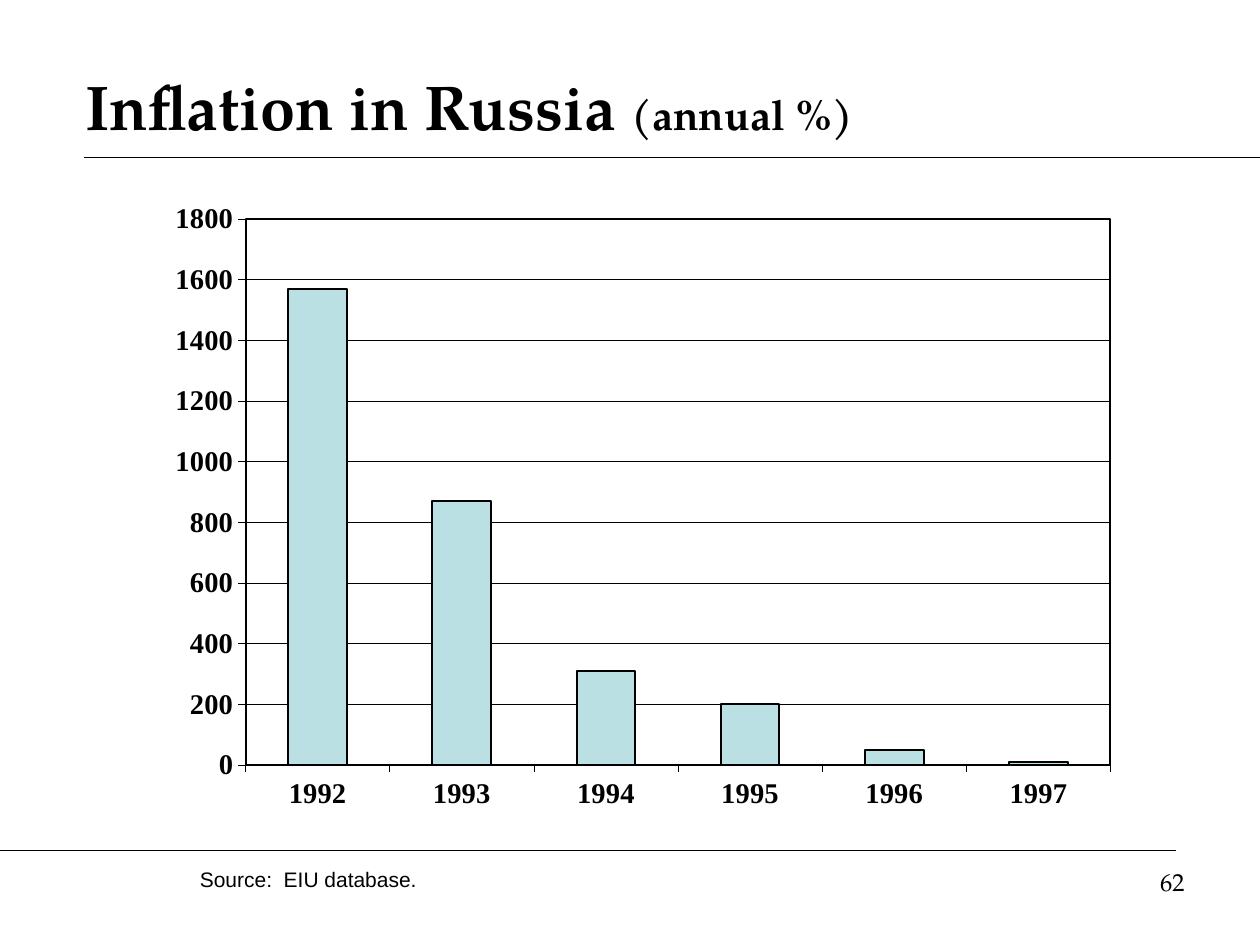
from dataclasses import dataclass

from lxml import etree
from pptx import Presentation
from pptx.chart.data import CategoryChartData
from pptx.dml.color import RGBColor
from pptx.enum.chart import XL_CHART_TYPE, XL_TICK_MARK
from pptx.enum.shapes import MSO_CONNECTOR
from pptx.enum.text import MSO_ANCHOR, PP_ALIGN
from pptx.oxml import parse_xml
from pptx.oxml.ns import nsdecls, qn
from pptx.util import Cm, Pt

COLUMN = XL_CHART_TYPE.COLUMN_CLUSTERED
OUTSIDE, NO_TICK = XL_TICK_MARK.OUTSIDE, XL_TICK_MARK.NONE
STRAIGHT = MSO_CONNECTOR.STRAIGHT
TOP, MIDDLE = MSO_ANCHOR.TOP, MSO_ANCHOR.MIDDLE
LEFT, RIGHT = PP_ALIGN.LEFT, PP_ALIGN.RIGHT


@dataclass(frozen=True)
class Theme:
    """Fonts, colours and type sizes of the slide."""
    serif: str = "TeX Gyre Pagella"
    sans: str = "Arial"
    chart: str = "Times New Roman"
    ink: RGBColor = RGBColor(0, 0, 0)
    bar: RGBColor = RGBColor(0xBB, 0xE0, 0xE3)
    title: float = 36
    unit: float = 24
    label: float = 16.3
    page: float = 14
    source: float = 12
    rule: float = 0.75
    grid: float = 0.29
    edge: float = 1.17


THEME = Theme()
SIZE = (25.4, 19.05)
HEAD, FOOT = 3.18, 17.15
RULES = [(1.7, SIZE[0], HEAD), (0, 23.7, FOOT),
         (3.18, SIZE[0], HEAD), (0, 17.98, FOOT)]
TEXTS = [
    ((18.21, 17.35, 5.92, 1.32), RIGHT, TOP,
     [("62", THEME.page, THEME.serif, False)]),
    ((1.47, 1.07, 22.02, 2.11), LEFT, MIDDLE,
     [("Inflation in Russia ", THEME.title, THEME.serif, True),
      ("(annual %)", THEME.unit, THEME.serif, True)]),
    ((3.78, 17.35, 17.35, 0.76), LEFT, TOP,
     [("Source:  EIU database.", THEME.source, THEME.sans, False)]),
]
RATES = {"1992": 1570, "1993": 870, "1994": 310,
         "1995": 200, "1996": 50, "1997": 10}
CHART = (3.2, 3.96, 19.46, 12.88)
PLOT = {"x": 0.09, "y": 0.035, "w": 0.896, "h": 0.855}


def style(font, size, face, bold):
    """Set the size, face, weight and colour of a font."""
    font.size, font.name, font.bold = Pt(size), face, bold
    font.color.rgb = THEME.ink


def stroke(line, width):
    """Set a solid ink line of the given width."""
    line.color.rgb = THEME.ink
    line.width = Pt(width)


def add_rule(slide, start, end, level):
    """Draw a level rule without a shadow."""
    rule = slide.shapes.add_connector(
        STRAIGHT, Cm(start), Cm(level), Cm(end), Cm(level))
    stroke(rule.line, THEME.rule)
    etree.SubElement(rule._element.spPr, qn("a:effectLst"))


def add_text(slide, box, align, anchor, runs):
    """Add a text box run by run."""
    frame = slide.shapes.add_textbox(*map(Cm, box)).text_frame
    frame.word_wrap = True
    frame.vertical_anchor = anchor
    para = frame.paragraphs[0]
    para.alignment = align
    for words, size, face, bold in runs:
        run = para.add_run()
        run.text = words
        style(run.font, size, face, bold)


def set_plot(chart):
    """Fix the inner plot area and give it a border."""
    area = chart._chartSpace.chart.plotArea
    for old in area.findall(qn("c:layout")):
        area.remove(old)
    modes = '<c:xMode val="edge"/><c:yMode val="edge"/>'
    parts = "".join(f'<c:{key} val="{val}"/>' for key, val in PLOT.items())
    area.insert(0, parse_xml(
        f'<c:layout {nsdecls("c")}><c:manualLayout>'
        f'<c:layoutTarget val="inner"/>{modes}{parts}'
        '</c:manualLayout></c:layout>'))
    area.append(parse_xml(
        f'<c:spPr {nsdecls("c", "a")}><a:noFill/>'
        f'<a:ln w="{Pt(THEME.edge)}"><a:solidFill>'
        f'<a:srgbClr val="{THEME.ink}"/></a:solidFill></a:ln></c:spPr>'))


def add_chart(slide):
    """Add the column chart of yearly rates."""
    data = CategoryChartData(number_format="0")
    data.categories = list(RATES)
    data.add_series("Series 1", list(RATES.values()))
    chart = slide.shapes.add_chart(COLUMN, *map(Cm, CHART), data).chart
    chart.has_legend = chart.has_title = False
    style(chart.font, THEME.label, THEME.chart, True)
    for axis in (chart.category_axis, chart.value_axis):
        axis.major_tick_mark, axis.minor_tick_mark = OUTSIDE, NO_TICK
        style(axis.tick_labels.font, THEME.label, THEME.chart, True)
        stroke(axis.format.line, THEME.grid)
    scale = chart.value_axis
    scale.minimum_scale, scale.maximum_scale, scale.major_unit = 0, 1800, 200
    scale.tick_labels.number_format = "0"
    scale.tick_labels.number_format_is_linked = False
    stroke(scale.major_gridlines.format.line, THEME.grid)
    plot = chart.plots[0]
    plot.gap_width, plot.vary_by_categories = 145, False
    bars = plot.series[0].format
    bars.fill.solid()
    bars.fill.fore_color.rgb = THEME.bar
    stroke(bars.line, THEME.edge)
    set_plot(chart)


def main():
    """Build and save the slide."""
    deck = Presentation()
    deck.slide_width, deck.slide_height = map(Cm, SIZE)
    slide = deck.slides.add_slide(deck.slide_layouts[6])
    for rule in RULES:
        add_rule(slide, *rule)
    add_chart(slide)
    for text in TEXTS:
        add_text(slide, *text)
    deck.save("out.pptx")


if __name__ == "__main__":
    main()
